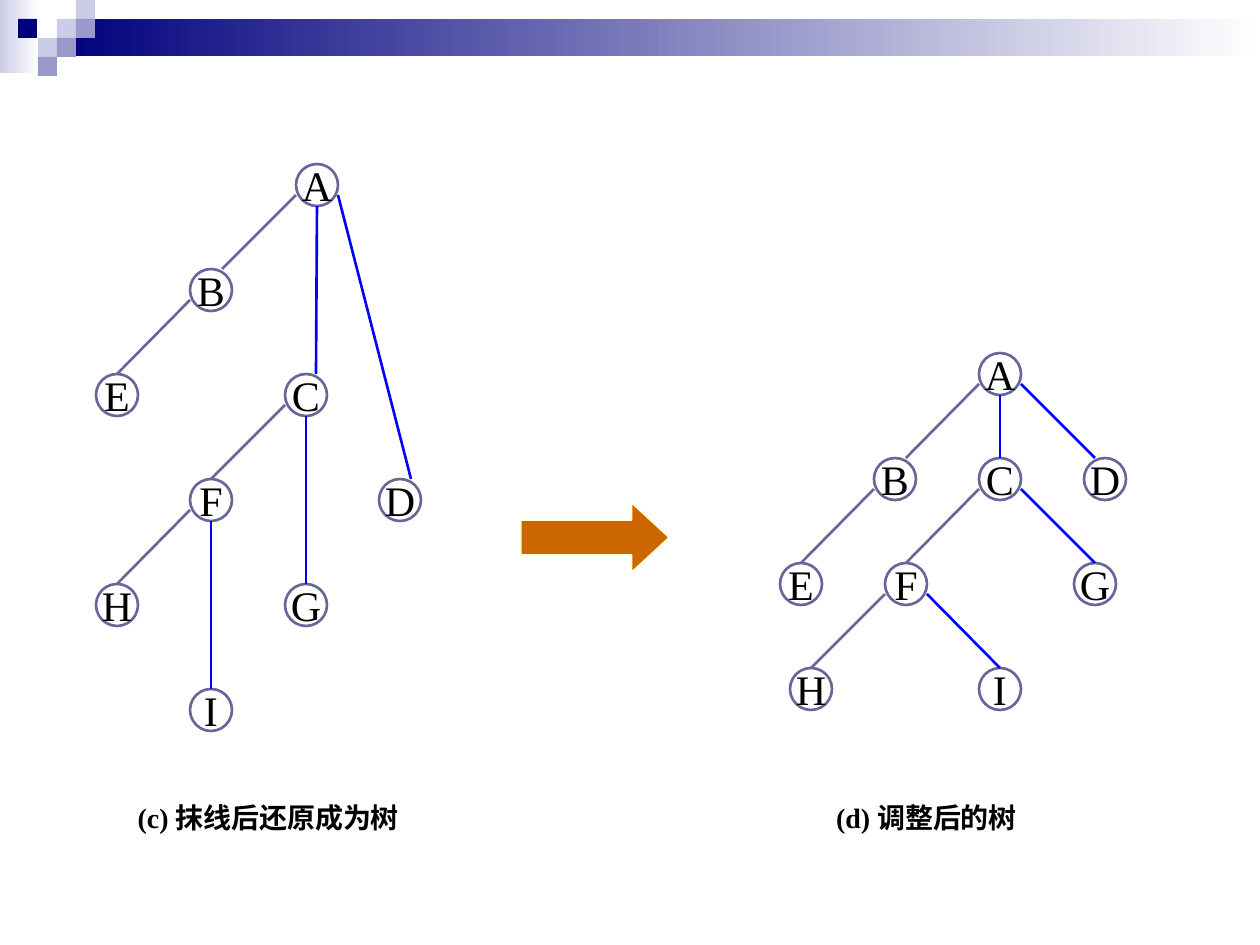
import pptx
import pptx.util
import pptx.dml.color
import pptx.enum.shapes
import pptx.enum.text
import pptx.oxml.ns
import lxml.etree

SCALE = 914400 // 126  # EMU in one px
KIND = pptx.enum.shapes.MSO_SHAPE
FONT = "Times New Roman"
NODE = 42   # node size
ROW = 105   # gap between tree levels
SHOULDER = 31  # where side branches leave a node
HUES = {
    "navy": "00007D", "pale": "CCCCE6", "lilac": "9999CC", "white": "FFFFFF",
    "slate": "666699", "blue": "0000FF", "black": "000000",
    "orange": "CC6600", "cream": "FFFFCC",
}

# Name: (left, level)
LEFT_NODES = {
    "A": (296, 0), "B": (190, 1), "D": (379, 3), "C": (285, 2), "F": (190, 3),
    "I": (190, 5), "H": (96, 4), "G": (285, 4), "E": (96, 2),
}
RIGHT_NODES = {
    "A": (979, 0), "B": (874, 1), "D": (1084, 1), "C": (979, 1), "F": (885, 2),
    "I": (979, 3), "H": (790, 3), "G": (1074, 2), "E": (780, 2),
}
# Parent, child, side of the parent, offset along the child's top
LEFT_EDGES = [
    ("A", "B", "left", 32), ("B", "E", "left", 21), ("C", "F", "left", 21),
    ("F", "H", "left", 21), ("A", "C", "down", 31), ("A", "D", "right", 32),
    ("C", "G", "down", 21), ("F", "I", "down", 21),
]
RIGHT_EDGES = [
    ("A", "C", "down", 21), ("A", "B", "left", 32), ("A", "D", "right", 11),
    ("B", "E", "left", 21), ("C", "F", "left", 21), ("C", "G", "right", 21),
    ("F", "H", "left", 21), ("F", "I", "right", 21),
]
EXITS = {"left": (0, SHOULDER), "down": (NODE // 2, NODE), "right": (NODE, SHOULDER)}


def px(*vals):
    return [pptx.util.Emu(val * SCALE) for val in vals]


def hue(name):
    return pptx.dml.color.RGBColor.from_string(HUES[name])


def add_shape(shapes, kind, box, fill, line=None, width=1.5):
    shape = shapes.add_shape(kind, *px(*box))
    shape.shadow.inherit = False
    shape.fill.solid()
    shape.fill.fore_color.rgb = hue(fill)
    if line:
        shape.line.color.rgb = hue(line)
        shape.line.width = pptx.util.Pt(width)
    else:
        shape.line.fill.background()
    return shape


def add_fade(shapes, box, start):
    shape = add_shape(shapes, KIND.RECTANGLE, box, start)
    shape.fill.gradient()
    shape.fill.gradient_angle = 0
    for stop, name, place in zip(shape.fill.gradient_stops, (start, "white"), (0, 1)):
        stop.color.rgb = hue(name)
        stop.position = place


def set_text(frame, text, size, bold=False):
    frame.text = text
    para = frame.paragraphs[0]
    para.alignment = pptx.enum.text.PP_ALIGN.CENTER
    font = para.runs[0].font
    font.name, font.size, font.bold = FONT, pptx.util.Pt(size), bold
    font.color.rgb = hue("black")


def add_node(shapes, name, left, top):
    node = add_shape(shapes, KIND.OVAL, (left, top, NODE, NODE), "white", "slate")
    frame = node.text_frame
    frame.word_wrap = False
    frame.vertical_anchor = pptx.enum.text.MSO_ANCHOR.MIDDLE
    set_text(frame, name, 24)


def add_edge(shapes, start, end, color):
    edge = shapes.add_connector(
        pptx.enum.shapes.MSO_CONNECTOR.STRAIGHT, *px(*start, *end))
    edge.line.color.rgb = hue(color)
    edge.line.width = pptx.util.Pt(1.5)
    lxml.etree.SubElement(
        edge._element.spPr, pptx.oxml.ns.qn("a:effectLst"))


def add_tree(slide, top, nodes, edges):
    shapes = slide.shapes.add_group_shape().shapes
    spots = {name: (left, top + ROW * level) for name, (left, level) in nodes.items()}
    for name, spot in spots.items():
        add_node(shapes, name, *spot)
    for parent, child, side, shift in edges:
        (left, high), (right, low) = spots[parent], spots[child]
        dx, dy = EXITS[side]
        color = "slate" if side == "left" else "blue"
        add_edge(shapes, (left + dx, high + dy), (right + shift, low), color)


def add_label(slide, box, text):
    frame = slide.shapes.add_textbox(*px(*box)).text_frame
    frame.word_wrap = True
    set_text(frame, text, 16, bold=True)


def add_band(slide):
    shapes = slide.shapes.add_group_shape().shapes
    add_fade(shapes, (0, 0, 39, 73), "pale")
    add_fade(shapes, (57, 19, 1203, 37), "navy")
    for left, top, fill in [
        (57, 19, "pale"), (76, 0, "pale"), (76, 19, "lilac"), (38, 38, "pale"),
        (18, 19, "navy"), (57, 38, "lilac"), (38, 57, "lilac"),
    ]:
        add_shape(shapes, KIND.RECTANGLE, (left, top, 19, 19), fill)


def main():
    deck = pptx.Presentation()
    deck.slide_width, deck.slide_height = px(1260, 945)
    slide = deck.slides.add_slide(deck.slide_layouts[6])

    # Header band
    add_band(slide)

    # Tree before the change
    add_label(slide, (116, 794, 305, 47), "(c) 抹线后还原成为树")
    add_tree(slide, 164, LEFT_NODES, LEFT_EDGES)

    # Tree after the change
    add_label(slide, (811, 794, 231, 47), "(d) 调整后的树")
    add_tree(slide, 353, RIGHT_NODES, RIGHT_EDGES)

    # Arrow between the trees
    arrow = add_shape(slide.shapes, KIND.RIGHT_ARROW, (521, 503, 148, 69),
                      "orange", "cream", 0.75)
    arrow.adjustments[1] = 0.54

    deck.save("out.pptx")


if __name__ == "__main__":
    main()
